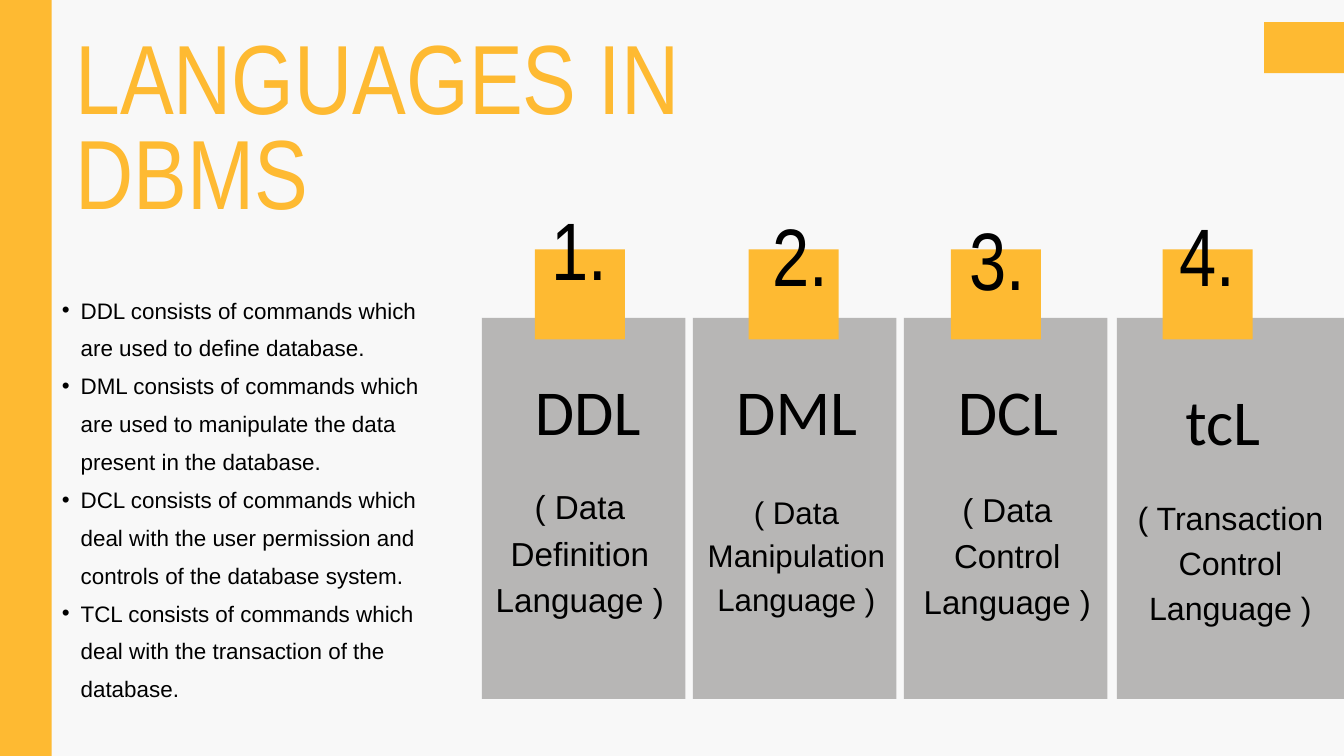
from collections import namedtuple
from dataclasses import dataclass

from pptx import Presentation
from pptx import util as u
from pptx.dml.color import RGBColor
from pptx.enum import shapes, text
from pptx.oxml.ns import qn
from lxml import etree

PX = 9144  # 100 px to the inch


@dataclass(frozen=True)
class Theme:
    page: str = "F8F8F8"
    gold: str = "FEBA32"
    gray: str = "B7B6B5"
    ink: str = "000000"
    narrow: str = "Arial Narrow"
    sans: str = "Arial"
    short: str = "Calibri"
    title: float = 105.3
    list: float = 24
    digit: float = 87.3
    abbr: float = 68.5


T = Theme()
Box = namedtuple("Box", "x y w h")

# Offsets of tag, number, abbreviation and full name are from the card's corner
Card = namedtuple("Card", "box tag num abbr name lines size")
CARDS = [
    Card(Box(717, 473, 303, 567), 79, Box(48, -165, 195, 136),
         ("DDL", Box(32, 61, 251, 127)), Box(-11, 241, 314, 203),
         "( Data Definition Language )", 35.6),
    Card(Box(1031, 473, 303, 567), 83, Box(62, -156, 195, 136),
         ("DML", Box(29, 61, 251, 127)), Box(3, 251, 302, 192),
         "( Data Manipulation\nLanguage )", 33.5),
    Card(Box(1345, 473, 303, 567), 70, Box(41, -150, 195, 136),
         ("DCL", Box(35, 61, 240, 127)), Box(19, 245, 270, 204),
         "( Data Control Language )", 35.4),
    Card(Box(1662, 473, 338, 567), 68, Box(37, -156, 195, 136),
         ("tcL", Box(38, 76, 239, 127)), Box(21, 259, 296, 198),
         "( Transaction Control Language )", 34.5),
]
POINTS = [
    "DDL consists of commands which are used to define database.",
    "DML consists of commands which are used to manipulate the data "
    "present in the database.",
    "DCL consists of commands which deal with the user permission and "
    "controls of the database system.",
    "TCL consists of commands which deal with the transaction of the database.",
]


def emu(box):
    return [n * PX for n in box]


def block(slide, box, color):
    """Plain filled rectangle."""
    rect = slide.shapes.add_shape(shapes.MSO_SHAPE.RECTANGLE, *emu(box))
    rect.shadow.inherit = False
    rect.fill.solid()
    rect.fill.fore_color.rgb = RGBColor.from_string(color)
    rect.line.fill.background()


def write(shape, words, font, size, lead, color=T.ink, align=text.PP_ALIGN.CENTER):
    """Fill a text shape without margins, with exact line spacing."""
    frame = shape.text_frame
    frame.text = words
    frame.word_wrap = True
    frame.auto_size = text.MSO_AUTO_SIZE.NONE
    frame.vertical_anchor = text.MSO_ANCHOR.TOP
    frame.margin_left = frame.margin_right = 0
    frame.margin_top = frame.margin_bottom = 0
    for para in frame.paragraphs:
        para.alignment = align
        para.line_spacing = u.Pt(lead)
        para.space_before = para.space_after = u.Pt(0)
        for run in para.runs:
            run.font.name = font
            run.font.size = u.Pt(size)
            run.font.color.rgb = RGBColor.from_string(color)


def label(slide, box, *style):
    write(slide.shapes.add_textbox(*emu(box)), *style)


def place(holder, box):
    holder.left, holder.top, holder.width, holder.height = emu(box)


def head(slide, box):
    title = slide.shapes.title
    place(title, box)
    write(title, "LANGUAGES IN DBMS", T.narrow, T.title, 102.1, T.gold,
          text.PP_ALIGN.LEFT)


def notes(slide, box):
    """Bulleted list in the body placeholder."""
    body = slide.placeholders[1]
    place(body, box)
    write(body, "\n".join(POINTS), T.sans, T.list, 40.6, T.ink,
          text.PP_ALIGN.LEFT)
    for para in body.text_frame.paragraphs:
        props = para._p.get_or_add_pPr()
        props.set("marL", str(57 * PX))
        props.set("indent", str(-28 * PX))
        etree.SubElement(props, qn("a:buChar")).set("char", "•")


def panel(slide, num, card):
    """Gray card with a gold number tag, an abbreviation and its meaning."""
    x, y = card.box.x, card.box.y

    def inner(box):
        return Box(x + box.x, y + box.y, box.w, box.h)

    block(slide, card.box, T.gray)
    block(slide, inner(Box(card.tag, -102, 134, 134)), T.gold)
    label(slide, inner(card.num), f"{num}.", T.narrow, T.digit, 96)
    abbr, spot = card.abbr
    label(slide, inner(spot), abbr, T.short, T.abbr, 95.8)
    label(slide, inner(card.name), card.lines, T.sans, card.size,
          round(card.size * 1.4, 1))


def main():
    deck = Presentation()
    deck.slide_width, deck.slide_height = 2000 * PX, 1125 * PX
    slide = deck.slides.add_slide(deck.slide_layouts[1])
    back = slide.background.fill
    back.solid()
    back.fore_color.rgb = RGBColor.from_string(T.page)

    # Title and list
    head(slide, Box(112, 58, 1084, 289))
    notes(slide, Box(63, 425, 575, 616))

    # Gold bands that bleed off the left and right edges
    block(slide, Box(-159, -66, 236, 1227), T.gold)
    block(slide, Box(1881, 33, 238, 76), T.gold)

    # Language cards
    for num, card in enumerate(CARDS, 1):
        panel(slide, num, card)

    deck.save("out.pptx")


if __name__ == "__main__":
    main()
